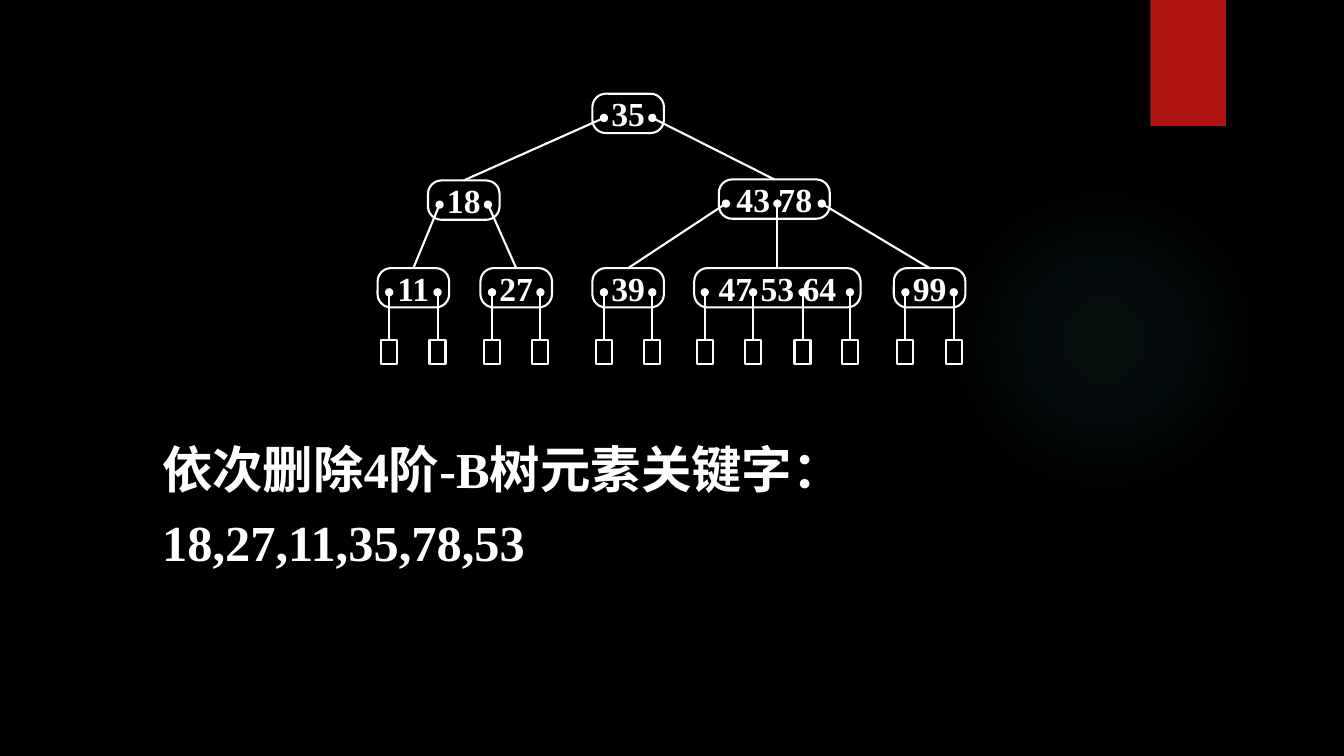
from pptx import Presentation
from pptx.dml.color import RGBColor
from pptx.enum.shapes import MSO_CONNECTOR, MSO_SHAPE
from pptx.enum.text import MSO_ANCHOR, MSO_AUTO_SIZE, PP_ALIGN
from pptx.oxml import parse_xml
from pptx.oxml.ns import nsdecls, qn
from pptx.util import Inches, Pt
from lxml.etree import SubElement

BLACK = RGBColor(0x00, 0x00, 0x00)
WHITE = RGBColor(0xFF, 0xFF, 0xFF)
RED = RGBColor(0xB0, 0x15, 0x13)
GLOW = RGBColor(0x50, 0xB9, 0xC1)
FONT = "Times New Roman"
KEY_GAP = " "  # one en space between keys

# Node width and pointer offsets from the node centre, by number of keys
NODE_WIDTH = {1: 0.71, 2: 1.1, 3: 1.65}
POINTERS = {1: (-0.24, 0.24), 2: (-0.48, 0.03, 0.47), 3: (-0.72, -0.24, 0.25, 0.72)}
NODE_HEIGHT = 0.39
POINTER_DROP = 0.24
LEAF_TOP, LEAF_WIDTH, LEAF_HEIGHT = 3.37, 0.16, 0.24

# Each node: keys, centre x, top, children
TREE = ((35,), 6.23, 0.93, [
    ((18,), 4.6, 1.79, [
        ((11,), 4.1, 2.66, []),
        ((27,), 5.12, 2.66, []),
    ]),
    ((43, 78), 7.68, 1.78, [
        ((39,), 6.23, 2.66, []),
        ((47, 53, 64), 7.71, 2.66, []),
        ((99,), 9.22, 2.66, []),
    ]),
])


def add_text(p, text, size=24, color=WHITE, bold=True, align=None, spacing=None):
    r = p.add_run()
    r.text = text
    r.font.name, r.font.size, r.font.bold = FONT, Pt(size), bold
    r.font.color.rgb = color
    p.alignment = align
    p.line_spacing = spacing


def add_box(shapes, kind, left, top, width, height, fill=None, line=None):
    sp = shapes.add_shape(kind, Inches(left), Inches(top), Inches(width), Inches(height))
    sp.shadow.inherit = False
    if fill is None:
        sp.fill.background()
    else:
        sp.fill.solid()
        sp.fill.fore_color.rgb = fill
    if line is None:
        sp.line.fill.background()
    else:
        sp.line.color.rgb = line
        sp.line.width = Pt(1.5)
    return sp


def add_glow(shapes):
    sp = add_box(shapes, MSO_SHAPE.OVAL, 9.41, 1.83, 3.08, 3.08)
    stops = "".join(
        f'<a:gs pos="{pos}000"><a:srgbClr val="{GLOW}">'
        f'<a:alpha val="{alpha}000"/></a:srgbClr></a:gs>'
        for pos, alpha in ((0, 7), (36, 6), (69, 0)))
    gradient = parse_xml(
        f'<a:gradFill {nsdecls("a")}><a:gsLst>{stops}</a:gsLst><a:path path="circle">'
        '<a:fillToRect l="50000" t="50000" r="50000" b="50000"/></a:path></a:gradFill>')
    spPr = sp.element.spPr
    spPr.replace(spPr.find(qn("a:noFill")), gradient)


def add_pointer(shapes, x, y, target):
    """Line with a dot at its start, joined to the top of the target."""
    cxn = shapes.add_connector(MSO_CONNECTOR.STRAIGHT, Inches(x), Inches(y),
                               Inches(x), Inches(LEAF_TOP))
    cxn.end_connect(target, 0)
    cxn.line.color.rgb = WHITE
    cxn.line.width = Pt(1.5)
    SubElement(cxn.line._get_or_add_ln(), qn("a:headEnd"), type="oval")
    SubElement(cxn.element.spPr, qn("a:effectLst"))


def add_leaf(shapes, x):
    return add_box(shapes, MSO_SHAPE.RECTANGLE, x - LEAF_WIDTH / 2, LEAF_TOP,
                   LEAF_WIDTH, LEAF_HEIGHT, line=WHITE)


def add_node(shapes, node):
    """Draw a node with everything below it and return its box."""
    keys, center, top, children = node
    width = NODE_WIDTH[len(keys)]
    sp = add_box(shapes, MSO_SHAPE.ROUNDED_RECTANGLE, center - width / 2, top,
                 width, NODE_HEIGHT, line=WHITE)
    sp.adjustments[0] = 0.341
    tf = sp.text_frame
    tf.word_wrap = False
    tf.vertical_anchor = MSO_ANCHOR.MIDDLE
    add_text(tf.paragraphs[0], KEY_GAP.join(map(str, keys)), align=PP_ALIGN.CENTER)

    for i, offset in enumerate(POINTERS[len(keys)]):
        x = center + offset
        target = add_node(shapes, children[i]) if children else add_leaf(shapes, x)
        add_pointer(shapes, x, top + POINTER_DROP, target)
    return sp


def add_task(shapes, lines):
    tb = shapes.add_textbox(Inches(1.51), Inches(4.18), Inches(10.07), Inches(1.56))
    tf = tb.text_frame
    tf.word_wrap = True
    tf.auto_size = MSO_AUTO_SIZE.SHAPE_TO_FIT_TEXT
    for i, line in enumerate(lines):
        p = tf.add_paragraph() if i else tf.paragraphs[0]
        add_text(p, line, size=36, spacing=1.2)


def main():
    prs = Presentation()
    prs.slide_width, prs.slide_height = Inches(13.33), Inches(7.5)
    s = prs.slides.add_slide(prs.slide_layouts[6])

    # Background and decoration
    s.background.fill.solid()
    s.background.fill.fore_color.rgb = BLACK
    add_glow(s.shapes)
    add_box(s.shapes, MSO_SHAPE.RECTANGLE, 11.41, 0, 0.75, 1.25, fill=RED)

    # B-tree
    add_node(s.shapes.add_group_shape().shapes, TREE)

    # Task text
    add_task(s.shapes, ["依次删除4阶-B树元素关键字：", "18,27,11,35,78,53"])

    prs.save("out.pptx")


if __name__ == "__main__":
    main()
